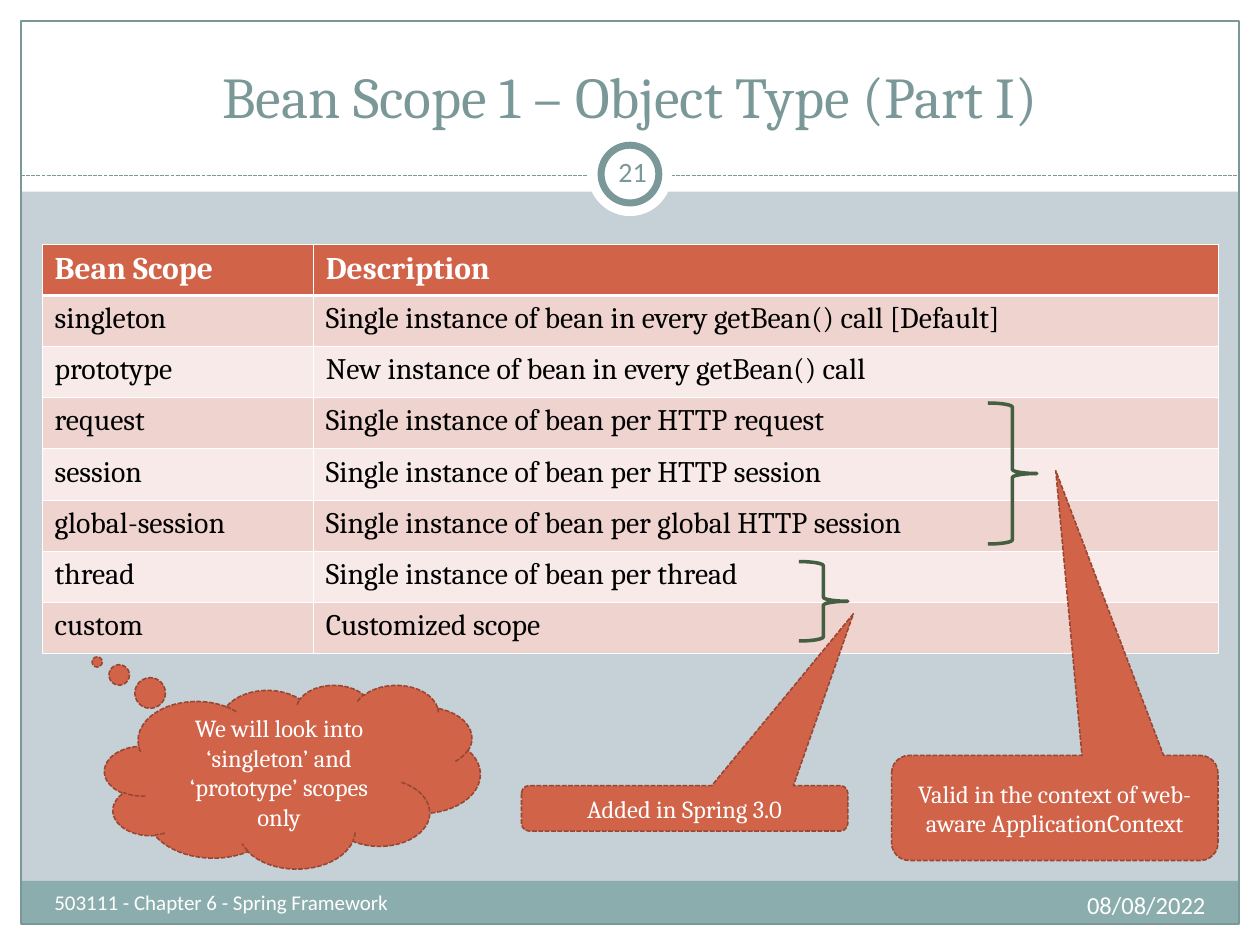
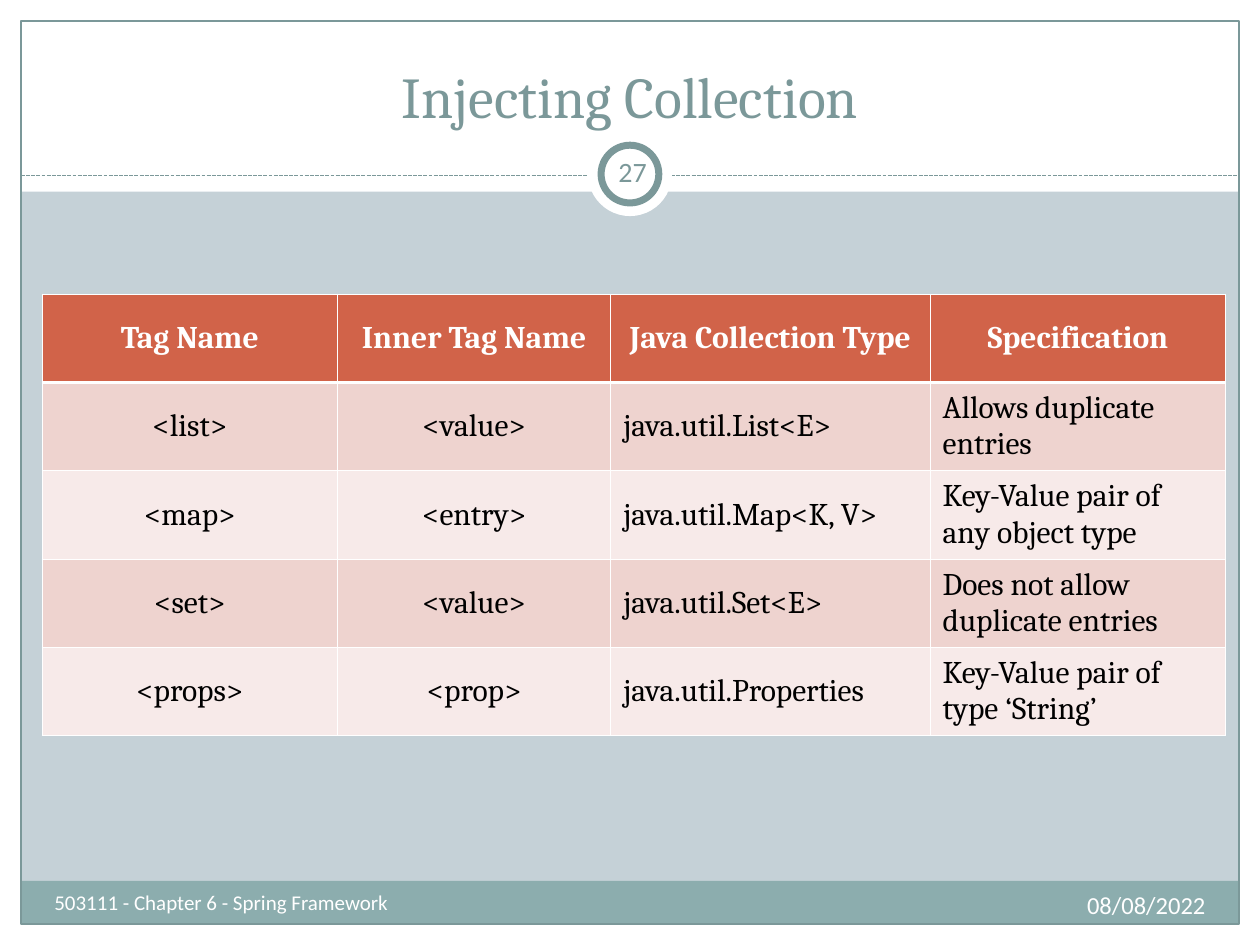
from collections import namedtuple

from lxml import etree
from pptx import Presentation
from pptx.dml.color import RGBColor
from pptx.enum.dml import MSO_LINE
from pptx.enum.shapes import MSO_CONNECTOR, MSO_SHAPE
from pptx.enum.text import MSO_ANCHOR, PP_ALIGN
from pptx.oxml.ns import qn
from pptx.util import Pt

Box = namedtuple("Box", "left top width height")

COLOURS = {
    "background": "C5D1D7",
    "white": "FFFFFF",
    "black": "000000",
    "footer": "8CADAE",
    "frame": "7B9899",
    "accent": "D16349",
    "accent_line": "994733",
    "odd_row": "EED3CF",
    "even_row": "F7EAE9",
    "brace": "435E40",
}
SERIF, SANS = "Cambria", "Calibri"
LEFT, CENTER, RIGHT = PP_ALIGN.LEFT, PP_ALIGN.CENTER, PP_ALIGN.RIGHT
TOP, MIDDLE, BOTTOM = MSO_ANCHOR.TOP, MSO_ANCHOR.MIDDLE, MSO_ANCHOR.BOTTOM
RECTANGLE, ELLIPSE = MSO_SHAPE.RECTANGLE, MSO_SHAPE.OVAL
BRACE = MSO_SHAPE.RIGHT_BRACE
ROUND_CALLOUT = MSO_SHAPE.ROUNDED_RECTANGULAR_CALLOUT
CLOUD_CALLOUT = MSO_SHAPE.CLOUD_CALLOUT
STRAIGHT, DASH = MSO_CONNECTOR.STRAIGHT, MSO_LINE.SQUARE_DOT

PAGE = Box(0, 0, 720, 540)
MARGIN = 12
HEADER_HEIGHT = 109.5
FOOTER_TEXT = "503111 - Chapter 6 - Spring Framework"
DATE_TEXT = "08/08/2022"

SCOPES = [
    ("Bean Scope", "Description"),
    ("singleton", "Single instance of bean in every getBean() call [Default]"),
    ("prototype", "New instance of bean in every getBean() call"),
    ("request", "Single instance of bean per HTTP request"),
    ("session", "Single instance of bean per HTTP session"),
    ("global-session", "Single instance of bean per global HTTP session"),
    ("thread", "Single instance of bean per thread"),
    ("custom", "Customized scope"),
]
COLLECTIONS = [
    ("Tag Name", "Inner Tag Name", "Java Collection Type", "Specification"),
    ("<list>", "<value>", "java.util.List<E>", "Allows duplicate entries"),
    ("<map>", "<entry>", "java.util.Map<K, V>",
     "Key-Value pair of any object type"),
    ("<set>", "<value>", "java.util.Set<E>", "Does not allow duplicate entries"),
    ("<props>", "<prop>", "java.util.Properties",
     "Key-Value pair of type ‘String’"),
]


def rgb(name):
    return RGBColor.from_string(COLOURS[name])


def points(box):
    return [Pt(length) for length in box]


def write(text_frame, text, size, colour, font=SERIF, align=LEFT, bold=False):
    text_frame.word_wrap = True
    text_frame.text = text
    paragraph = text_frame.paragraphs[0]
    paragraph.alignment = align
    for run in paragraph.runs:
        run.font.size = Pt(size)
        run.font.name = font
        run.font.bold = bold
        run.font.color.rgb = rgb(colour)


def add_text(slide, box, text, size, colour, font=SERIF, align=LEFT, anchor=TOP):
    text_frame = slide.shapes.add_textbox(*points(box)).text_frame
    write(text_frame, text, size, colour, font, align)
    text_frame.vertical_anchor = anchor
    return text_frame


def set_line(line, colour, width, dash=None):
    line.color.rgb = rgb(colour)
    line.width = Pt(width)
    if dash:
        line.dash_style = dash


def add_shape(slide, kind, box, fill=None, line=None):
    """Line is a tuple of colour, width and, if wanted, dash style."""
    shape = slide.shapes.add_shape(kind, *points(box))
    shape.shadow.inherit = False
    if fill:
        shape.fill.solid()
        shape.fill.fore_color.rgb = rgb(fill)
    else:
        shape.fill.background()
    if line:
        set_line(shape.line, *line)
    else:
        shape.line.fill.background()
    return shape


def add_circle(slide, center, middle, size, line=None):
    box = Box(center - size / 2, middle - size / 2, size, size)
    add_shape(slide, ELLIPSE, box, "white", line)


def add_frame(slide, page):
    """White margins, header, footer band, outline and dashed rule."""
    left, top, width, height = page
    right, bottom = left + width, top + height
    inner = Box(left + MARGIN, top + MARGIN,
                width - 2 * MARGIN, height - 2 * MARGIN)
    for band in (
        Box(left, bottom - MARGIN, width, MARGIN),
        Box(left, top, width, HEADER_HEIGHT),
        Box(left, top, MARGIN, height),
        Box(right - MARGIN, top, MARGIN, height),
    ):
        add_shape(slide, RECTANGLE, band, "white")
    footer = Box(inner.left, bottom - 36.7, inner.width, 24.7)
    add_shape(slide, RECTANGLE, footer, "footer")
    add_shape(slide, RECTANGLE, inner, line=("frame", 0.75))

    rule_top = top + 100.5
    rule = slide.shapes.add_connector(
        STRAIGHT, Pt(inner.left), Pt(rule_top),
        Pt(inner.left + inner.width), Pt(rule_top))
    set_line(rule.line, "frame", 0.75, DASH)
    etree.SubElement(rule._element.spPr, qn("a:effectLst"))


def add_header(slide, page, title, number):
    center, middle = page.left + page.width / 2, page.top + 99.5
    add_circle(slide, center, middle, 48)
    add_circle(slide, center, middle, 33, ("frame", 4))
    add_text(slide, Box(page.left + 24, page.top + 18, page.width - 48, 60),
             title, 33, "frame", align=CENTER, anchor=BOTTOM)
    number_frame = add_text(
        slide, Box(center - 16.5, middle - 18.7, 36, 34.4),
        str(number), 16, "frame", SANS, CENTER, MIDDLE)
    number_frame.margin_left = number_frame.margin_right = Pt(3.6)


def add_footer(slide, page):
    top = page.top + page.height - 35
    add_text(slide, Box(page.left + 24, top, 282, 29),
             FOOTER_TEXT, 12, "white", SANS)
    add_text(slide, Box(page.left + page.width - 264, top, 240, 29),
             DATE_TEXT, 14, "white", SANS, RIGHT)


def add_base_slide(presentation, title, number):
    slide = presentation.slides.add_slide(presentation.slide_layouts[6])
    slide.background.fill.solid()
    slide.background.fill.fore_color.rgb = rgb("background")
    add_frame(slide, PAGE)
    add_header(slide, PAGE, title, number)
    add_footer(slide, PAGE)
    return slide


def set_borders(cell, widths):
    """Widths in points go by side: L, R, T, B."""
    properties = cell._tc.get_or_add_tcPr()
    for position, (side, width) in enumerate(widths.items()):
        border = etree.Element(qn(f"a:ln{side}"), w=str(Pt(width)))
        fill = etree.SubElement(border, qn("a:solidFill"))
        etree.SubElement(fill, qn("a:srgbClr"), val=COLOURS["white"])
        properties.insert(position, border)


def add_table(slide, box, rows, column_widths, body_size, anchor=TOP,
              header_align=LEFT, centered_columns=()):
    table = slide.shapes.add_table(
        len(rows), len(column_widths), *points(box)).table
    for column, width in zip(table.columns, column_widths):
        column.width = Pt(width)
    for row_index, values in enumerate(rows):
        table.rows[row_index].height = Pt(box.height / len(rows))
        is_header = row_index == 0
        if is_header:
            fill, size, colour = "accent", 18, "white"
        else:
            fill = "odd_row" if row_index % 2 else "even_row"
            size, colour = body_size, "black"
        for column_index, value in enumerate(values):
            cell = table.cell(row_index, column_index)
            cell.fill.solid()
            cell.fill.fore_color.rgb = rgb(fill)
            cell.vertical_anchor = anchor
            align = CENTER if column_index in centered_columns else LEFT
            write(cell.text_frame, value, size, colour,
                  align=header_align if is_header else align, bold=is_header)
            set_borders(cell, {
                "L": 0.45, "R": 0.45,
                "T": 1.47 if row_index == 1 else 0.45,
                "B": 1.47 if is_header else 0.45,
            })


def add_callout(slide, kind, box, text, adjustments):
    callout = add_shape(slide, kind, box, "accent", ("accent_line", 0.91, DASH))
    for index, value in enumerate(adjustments):
        callout.adjustments[index] = value
    write(callout.text_frame, text, 14, "white", align=CENTER)
    callout.text_frame.vertical_anchor = MIDDLE


def add_scope_notes(slide, table_box):
    """Braces over groups of rows, and the callouts below the table."""
    left, top, width, height = table_box
    right, bottom = left + width, top + height
    row_height = height / len(SCOPES)
    for first_row, row_count, offset, inset in ((3, 3, 540.5, 3), (6, 2, 432.5, 6)):
        box = Box(left + offset, top + first_row * row_height + inset,
                  28, row_count * row_height - 2 * inset - 1)
        add_shape(slide, BRACE, box, line=("brace", 2))

    callout_width = 186.5
    add_callout(slide, ROUND_CALLOUT,
                Box(right - callout_width, bottom + 58.4, callout_width, 60),
                "Valid in the context of web-aware ApplicationContext",
                (0.003, -3.212, 0.167))
    add_callout(slide, ROUND_CALLOUT,
                Box(left + 274, bottom + 75.6, callout_width, 26),
                "Added in Spring 3.0", (0.517, -4.276, 0.167))
    add_callout(slide, CLOUD_CALLOUT,
                Box(left + 35.8, bottom + 18, 214.6, 105),
                "We will look into ‘singleton’ and ‘prototype’ scopes only",
                (-0.52, -0.624))


def build_scope_slide(presentation):
    slide = add_base_slide(presentation, "Bean Scope 1 – Object Type (Part I)", 21)
    box = Box(24, 139.7, 672, 233.6)
    add_table(slide, box, SCOPES, (155, 517), 17)
    add_scope_notes(slide, box)


def build_collection_slide(presentation):
    slide = add_base_slide(presentation, "Injecting Collection", 27)
    add_table(slide, Box(24, 168, 676.5, 252.5), COLLECTIONS,
              (169, 156, 182.5, 169), 18, MIDDLE, CENTER, (0, 1))


def main():
    presentation = Presentation()
    presentation.slide_width = Pt(PAGE.width)
    presentation.slide_height = Pt(PAGE.height)
    build_scope_slide(presentation)
    build_collection_slide(presentation)
    presentation.save("out.pptx")


if __name__ == "__main__":
    main()
